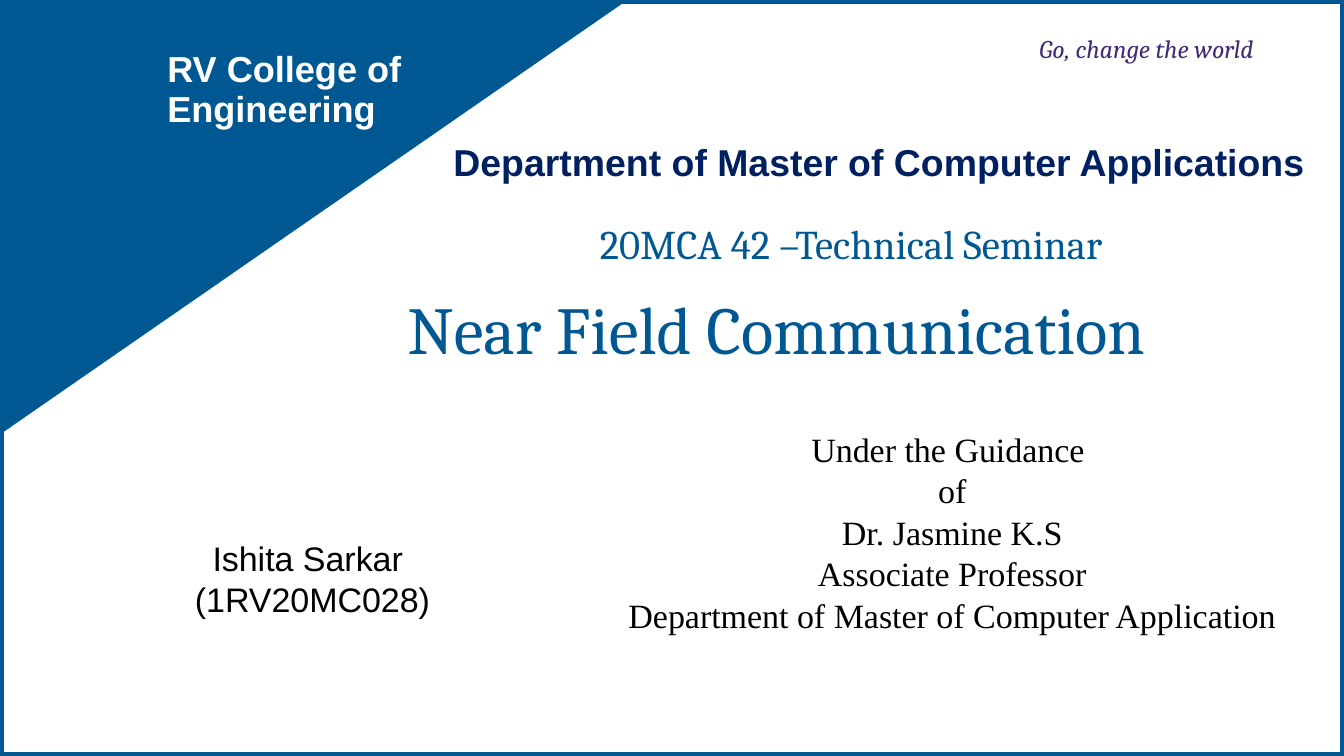
from dataclasses import dataclass

from pptx import Presentation
from pptx import util as u
from pptx.dml.color import RGBColor
from pptx.enum import shapes, text


@dataclass(frozen=True)
class Theme:
    blue: str = "005893"
    navy: str = "002060"
    violet: str = "422C75"
    white: str = "FFFFFF"
    black: str = "000000"
    sans: str = "Arial"
    serif: str = "Cambria"
    roman: str = "Times New Roman"
    motto: float = 18.2
    body: float = 24.3
    school: float = 25.8
    dept: float = 26.7
    course: float = 29.1
    title: float = 47.9
    border: float = 6


@dataclass(frozen=True)
class Label:
    lines: tuple[str, ...]
    box: tuple[float, float, float, float]
    font: str
    size: float
    color: str
    align: text.PP_ALIGN = text.PP_ALIGN.LEFT
    bold: bool = False
    italic: bool = False
    pitch: float | None = None


T = Theme()
WIDE, HIGH = 13.33, 7.5
MID, RIGHT = text.PP_ALIGN.CENTER, text.PP_ALIGN.RIGHT

TITLE = Label(("Near Field Communication",), (4.04, 2.84, 9.05, 0.81),
              T.serif, T.title, T.blue)
LABELS = (
    Label(("RV College of", "Engineering"), (1.66, 0.48, 2.53, 0.81),
          T.sans, T.school, T.white, bold=True, pitch=28.5),
    Label(("Go, change the world",), (10.31, 0.32, 2.68, 0.31),
          T.serif, T.motto, T.violet, italic=True),
    Label(("Department of Master of Computer Applications",),
          (4.19, 1.37, 8.76, 0.46), T.sans, T.dept, T.navy, RIGHT, bold=True),
    Label(("20MCA 42 –Technical Seminar",), (4.48, 2.16, 7.93, 0.5),
          T.serif, T.course, T.blue, MID),
    Label(("Ishita Sarkar ", "(1RV20MC028)"), (0.5, 5.32, 5.2, 0.84),
          T.sans, T.body, T.black, MID),
    Label(("Under the Guidance ", "of", "Dr. Jasmine K.S", "Associate Professor",
           "Department of Master of Computer Application"),
          (5.91, 4.24, 7.07, 2.51), T.roman, T.body, T.black, MID),
)


def paint(shape, color: str) -> None:
    shape.shadow.inherit = False
    shape.fill.solid()
    shape.fill.fore_color.rgb = RGBColor.from_string(color)


def frame(slide) -> None:
    """Draw the white page with its blue border."""
    page = slide.shapes.add_shape(shapes.MSO_SHAPE.RECTANGLE, 0, 0,
                                  u.Inches(WIDE), u.Inches(HIGH))
    paint(page, T.white)
    page.line.color.rgb = RGBColor.from_string(T.blue)
    page.line.width = u.Pt(T.border)


def corner(slide) -> None:
    """Draw the blue triangle at the top left."""
    pen = slide.shapes.build_freeform(u.Inches(6.21), u.Inches(0.01))
    pen.add_line_segments([(u.Inches(0), u.Inches(0.01)),
                           (u.Inches(0), u.Inches(4.31))])
    wedge = pen.convert_to_shape()
    paint(wedge, T.blue)
    wedge.line.fill.background()


def write(shape, label: Label) -> None:
    """Place a text shape and set its words and format."""
    shape.left, shape.top, shape.width, shape.height = map(u.Inches, label.box)
    body = shape.text_frame
    body.text = "\n".join(label.lines)
    body.word_wrap = True
    body.auto_size = text.MSO_AUTO_SIZE.NONE
    body.vertical_anchor = text.MSO_ANCHOR.TOP
    body.margin_left = body.margin_right = body.margin_bottom = 0
    body.margin_top = u.Inches(0.01)
    for para in body.paragraphs:
        para.alignment = label.align
        para.space_before = u.Pt(0.5)
        if label.pitch:
            para.line_spacing = u.Pt(label.pitch)
        for run in para.runs:
            font = run.font
            font.name, font.size = label.font, u.Pt(label.size)
            font.bold, font.italic = label.bold, label.italic
            font.color.rgb = RGBColor.from_string(label.color)


def main() -> None:
    deck = Presentation()
    deck.slide_width, deck.slide_height = u.Inches(WIDE), u.Inches(HIGH)
    slide = deck.slides.add_slide(deck.slide_layouts[5])
    frame(slide)
    corner(slide)
    title = slide.shapes.title
    title.element.getparent().append(title.element)  # in front of the page
    write(title, TITLE)
    for label in LABELS:
        write(slide.shapes.add_textbox(0, 0, 0, 0), label)
    deck.save("out.pptx")


if __name__ == "__main__":
    main()
